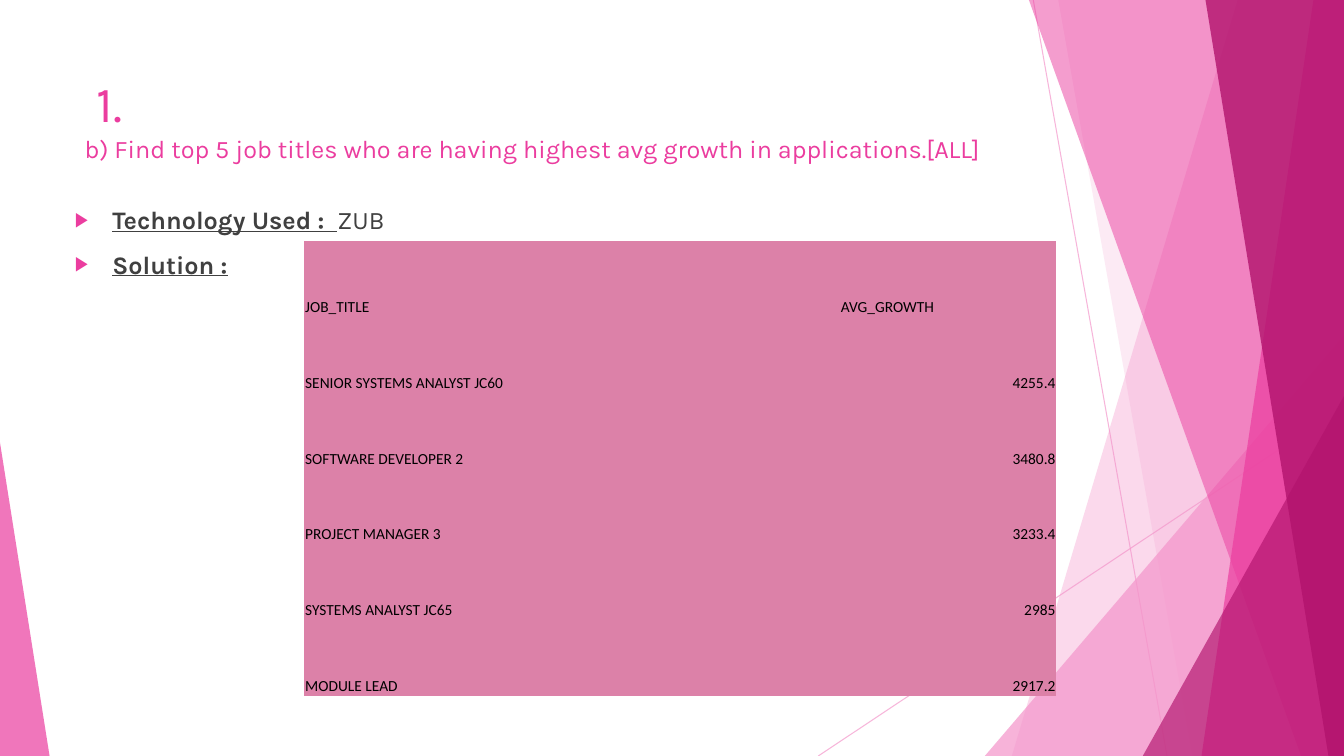
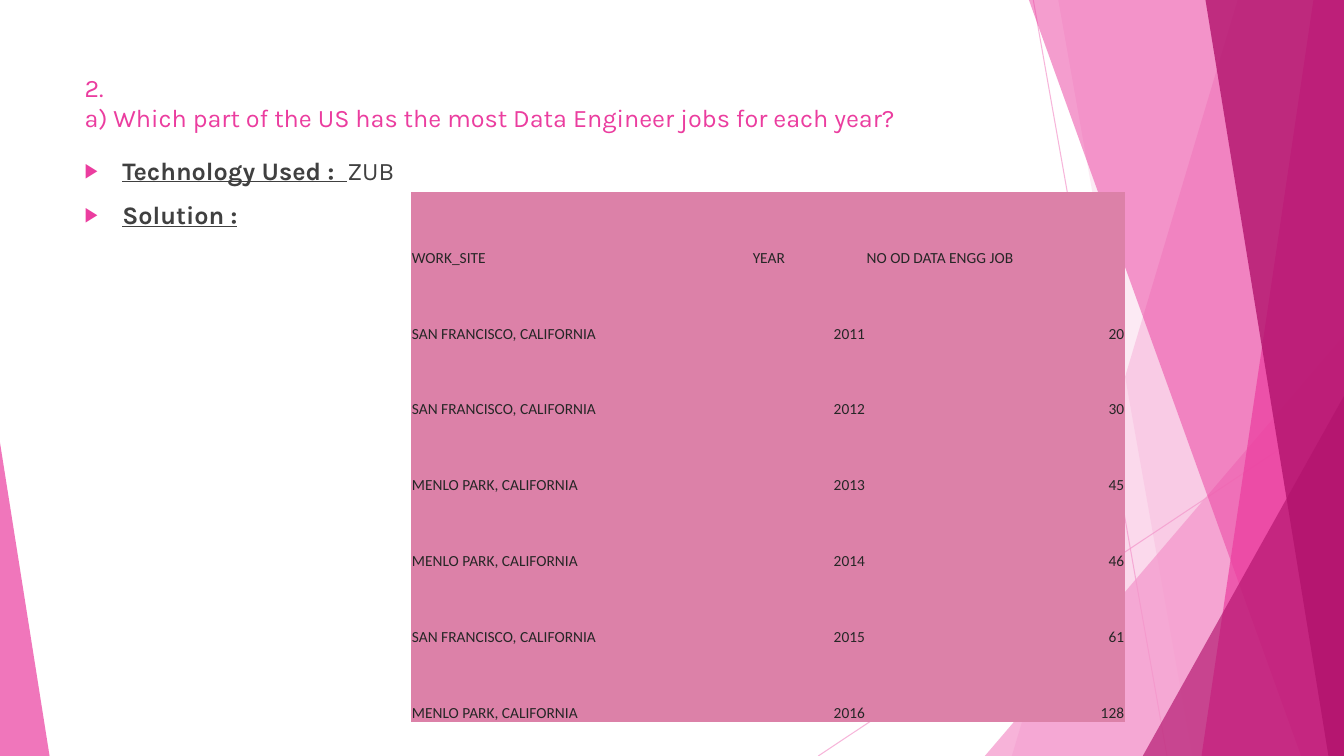
from lxml.etree import SubElement
from pptx import Presentation
from pptx.dml.color import RGBColor
from pptx.enum.shapes import MSO_CONNECTOR, MSO_SHAPE
from pptx.enum.text import MSO_ANCHOR, MSO_AUTO_SIZE, PP_ALIGN
from pptx.oxml import parse_xml
from pptx.oxml.ns import nsdecls, qn
from pptx.util import Cm, Pt

PINK = RGBColor(0xEB, 0x3D, 0x9F)
LIGHT_PINK = RGBColor(0xF4, 0x96, 0xCB)
MAGENTA = RGBColor(0xB2, 0x13, 0x6D)
ROSE = RGBColor(0xDC, 0x81, 0xA8)
BODY_GREY = RGBColor(0x40, 0x40, 0x40)
DARK_GREY = RGBColor(0x26, 0x26, 0x26)
BLACK = RGBColor(0, 0, 0)

# All lengths are in centimetres.
WIDTH, HEIGHT = 33.87, 19.05
TITLE_BOX = (1.88, 1.7, 23.88, 3.66)
ROW_HEIGHT = 1.91
NO_TABLE_STYLE = "{2D5ABB26-0587-4C30-8999-92F81FD0307C}"
CELL_FORMAT = {
    "margin_left": Cm(0.02), "margin_right": Cm(0.02), "margin_top": Cm(0.02),
    "margin_bottom": 0, "vertical_anchor": MSO_ANCHOR.BOTTOM,
}
FRAME_FORMAT = {
    "word_wrap": True, "auto_size": MSO_AUTO_SIZE.NONE,
    "vertical_anchor": MSO_ANCHOR.TOP,
}

THIN_LINES = [(26.04, 0, 29.41, HEIGHT), (WIDTH, 10.24, 20.62, HEIGHT)]
# A band has a top x and a bottom x and fills the slide to its right edge.
# A triangle has a width and a height and stands in a bottom corner.
FACETS = [
    ("band", 31.19, 25.5, LIGHT_PINK, 36),
    ("band", 26.67, 30.05, LIGHT_PINK, 20),
    ("right triangle", 9.05, 10.59, LIGHT_PINK, 72),
    ("band", 25.93, 32.79, PINK, 50),
    ("band", 33.1, 30.28, PINK, 70),
    ("band", 30.38, 33.48, MAGENTA, 80),
    ("right triangle", 5.07, 9.07, MAGENTA, 66),
    ("left triangle", 1.25, 7.9, PINK, 70),
]

BULLETS = [[("Technology Used :  ", True), ("ZUB", False)], [("Solution :", True)]]
SLIDES = [
    {
        "title": [(" 1.", 36), ("b) Find top 5 job titles who are having highest "
                                "avg growth in applications.[ALL]", 18)],
        "body_box": (1.63, 5.03, 30.63, 11.25),
        "table_at": (7.67, 6.07),
        "columns": (13.5, 5.45),
        "table_colour": BLACK,
        "rows": [
            ("JOB_TITLE", "AVG_GROWTH"),
            ("SENIOR SYSTEMS ANALYST JC60", 4255.4),
            ("SOFTWARE DEVELOPER 2", 3480.8),
            ("PROJECT MANAGER 3", 3233.4),
            ("SYSTEMS ANALYST JC65", 2985),
            ("MODULE LEAD", 2917.2),
        ],
    },
    {
        "title": [("2.", 18), ("a) Which part of the US has the most "
                               "Data Engineer jobs for each year?", 18)],
        "body_box": (1.88, 3.78, 29.82, 14.86),
        "table_at": (10.36, 4.83),
        "columns": (8.59, 2.87, 6.53),
        "table_colour": DARK_GREY,
        "rows": [
            ("WORK_SITE", "YEAR", "NO OD DATA ENGG JOB"),
            ("SAN FRANCISCO, CALIFORNIA", 2011, 20),
            ("SAN FRANCISCO, CALIFORNIA", 2012, 30),
            ("MENLO PARK, CALIFORNIA", 2013, 45),
            ("MENLO PARK, CALIFORNIA", 2014, 46),
            ("SAN FRANCISCO, CALIFORNIA", 2015, 61),
            ("MENLO PARK, CALIFORNIA", 2016, 128),
        ],
    },
]


def set_attributes(target, values):
    for name, value in values.items():
        setattr(target, name, value)


def set_opacity(shape, percent):
    for colour in shape.element.iter(qn("a:srgbClr")):
        SubElement(colour, qn("a:alpha"), val=str(percent * 1000))


def style_master(master):
    """Give titles and first-level bullets their shared look."""
    bullet = (f'<a:buClr><a:srgbClr val="{PINK}"/></a:buClr><a:buSzPct val="80000"/>'
              '<a:buFont typeface="Arial"/><a:buChar char="▶"/>')
    styles = [
        ("p:titleStyle", PINK, 0, 0, 0, "<a:buNone/>"),
        ("p:bodyStyle", BODY_GREY, Cm(0.95), -Cm(0.95), 1000, bullet),
    ]
    for tag, colour, margin, indent, before, marker in styles:
        style = next(master.element.iter(qn(tag)))
        level = style.find(qn("a:lvl1pPr"))
        style.replace(level, parse_xml(
            f'<a:lvl1pPr {nsdecls("a")} marL="{margin}" indent="{indent}" algn="l">'
            f'<a:spcBef><a:spcPts val="{before}"/></a:spcBef>{marker}'
            f'<a:defRPr sz="1800"><a:solidFill><a:srgbClr val="{colour}"/></a:solidFill>'
            '<a:latin typeface="Karla"/></a:defRPr></a:lvl1pPr>'))


def add_facet(shapes, kind, first, second, colour, opacity):
    if kind == "band":
        builder = shapes.build_freeform(Cm(first), 0)
        corners = [(WIDTH, 0), (WIDTH, HEIGHT), (second, HEIGHT)]
        builder.add_line_segments([(Cm(x), Cm(y)) for x, y in corners], close=True)
        shape = builder.convert_to_shape()
    else:
        at_right = kind == "right triangle"
        left = WIDTH - first if at_right else 0
        shape = shapes.add_shape(MSO_SHAPE.ISOSCELES_TRIANGLE, Cm(left),
                                 Cm(HEIGHT - second), Cm(first), Cm(second))
        shape.adjustments[0] = 1.0 if at_right else 0.0
    shape.shadow.inherit = False
    shape.fill.solid()
    shape.fill.fore_color.rgb = colour
    shape.line.fill.background()
    set_opacity(shape, opacity)


def move_backdrop_to_master(slide, master):
    """Draw the facets as a group, then place it behind the master's placeholders."""
    group = slide.shapes.add_group_shape()
    for ends in THIN_LINES:
        line = group.shapes.add_connector(MSO_CONNECTOR.STRAIGHT, *map(Cm, ends))
        line.line.color.rgb = LIGHT_PINK
        line.line.width = Pt(0.75)
        SubElement(line.element.spPr, qn("a:effectLst"))
        set_opacity(line, 70)
    for facet in FACETS:
        add_facet(group.shapes, *facet)
    for number, properties in enumerate(group.element.iter(qn("p:cNvPr")), start=100):
        properties.set("id", str(number))
    master.shapes.element.insert(2, group.element)


def place(placeholder, box):
    sides = ("left", "top", "width", "height")
    set_attributes(placeholder, dict(zip(sides, map(Cm, box))))
    set_attributes(placeholder.text_frame, FRAME_FORMAT)
    return placeholder.text_frame


def fill_title(slide, lines):
    paragraph = place(slide.shapes.title, TITLE_BOX).paragraphs[0]
    for index, (text, size) in enumerate(lines):
        if index:
            paragraph.add_line_break()
        run = paragraph.add_run()
        run.text = text
        run.font.size = Pt(size)


def fill_body(slide, box):
    frame = place(slide.placeholders[1], box)
    for index, parts in enumerate(BULLETS):
        paragraph = frame.add_paragraph() if index else frame.paragraphs[0]
        for text, is_label in parts:
            run = paragraph.add_run()
            run.text = text
            set_attributes(run.font, {"bold": is_label, "underline": is_label})


def add_result_table(slide, position, columns, rows, colour):
    frame = slide.shapes.add_table(
        len(rows), len(columns), *map(Cm, position),
        Cm(sum(columns)), Cm(ROW_HEIGHT * len(rows)))
    next(frame.element.iter(qn("a:tableStyleId"))).text = NO_TABLE_STYLE
    table = frame.table
    set_attributes(table, {"first_row": False, "horz_banding": False})
    for column, width in zip(table.columns, columns):
        column.width = Cm(width)
    for row, values in zip(table.rows, rows):
        row.height = Cm(ROW_HEIGHT)
        for cell, value in zip(row.cells, values):
            set_attributes(cell, CELL_FORMAT)
            cell.fill.solid()
            cell.fill.fore_color.rgb = ROSE
            paragraph = cell.text_frame.paragraphs[0]
            is_text = isinstance(value, str)
            paragraph.alignment = PP_ALIGN.LEFT if is_text else PP_ALIGN.RIGHT
            run = paragraph.add_run()
            run.text = str(value)
            set_attributes(run.font, {"name": "Calibri", "size": Pt(11)})
            run.font.color.rgb = colour


def main():
    presentation = Presentation()
    set_attributes(presentation, {"slide_width": Cm(WIDTH), "slide_height": Cm(HEIGHT)})
    master = presentation.slide_master
    style_master(master)
    for index, content in enumerate(SLIDES):
        slide = presentation.slides.add_slide(presentation.slide_layouts[1])
        if index == 0:
            move_backdrop_to_master(slide, master)
        fill_title(slide, content["title"])
        fill_body(slide, content["body_box"])
        add_result_table(slide, content["table_at"], content["columns"],
                         content["rows"], content["table_colour"])
    presentation.save("out.pptx")


if __name__ == "__main__":
    main()
